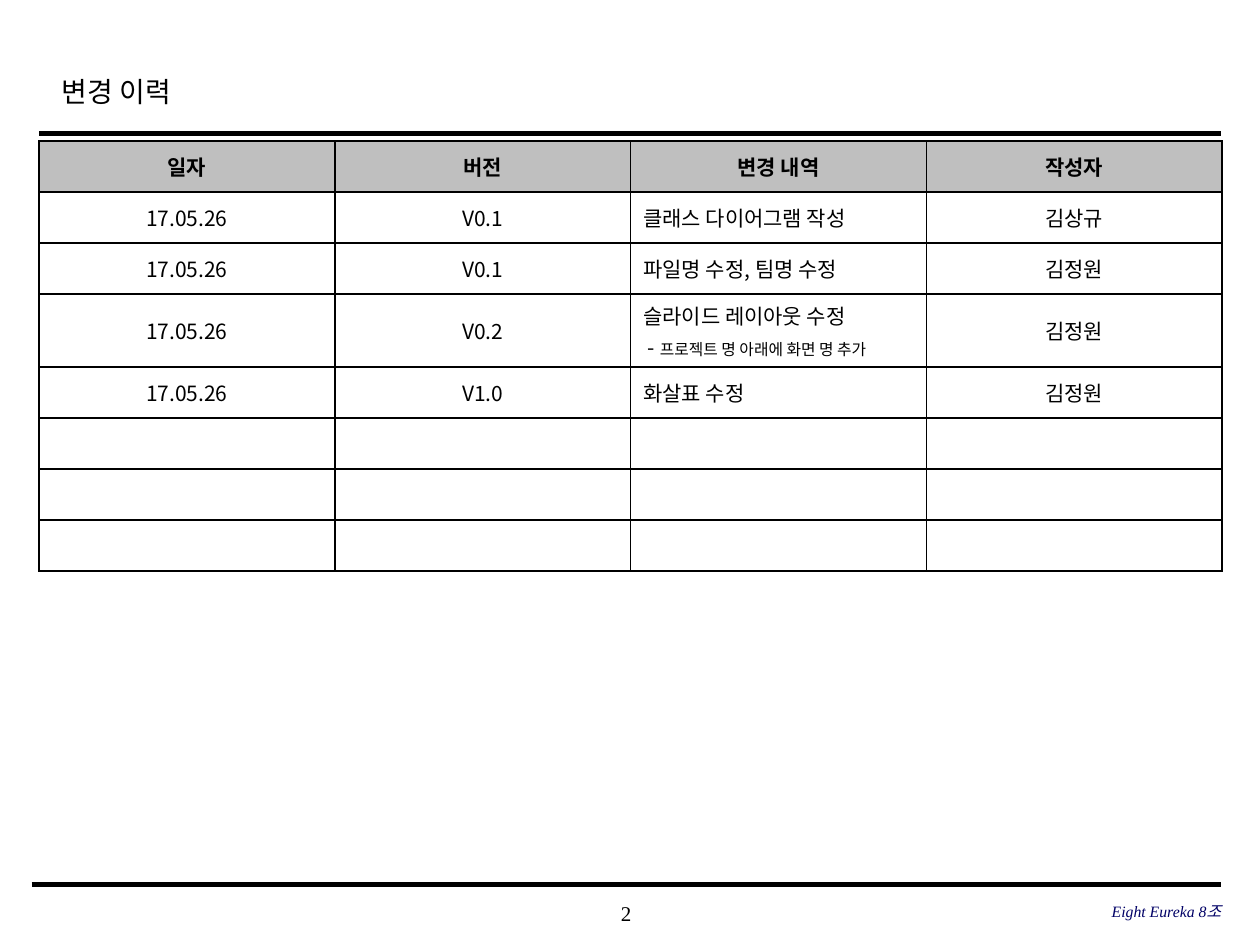
from dataclasses import dataclass

import pptx
import pptx.dml.color
import pptx.enum.shapes
import pptx.enum.text
import pptx.oxml
import pptx.oxml.ns
import pptx.util
from pptx.util import Inches

BLACK = pptx.dml.color.RGBColor(0x00, 0x00, 0x00)
WHITE = pptx.dml.color.RGBColor(0xFF, 0xFF, 0xFF)
GRAY = pptx.dml.color.RGBColor(0xBF, 0xBF, 0xBF)
NAVY = pptx.dml.color.RGBColor(0x00, 0x00, 0x66)
SERIF = "Times New Roman"
SANS = "Noto Sans CJK KR"
ALIGN = pptx.enum.text.PP_ALIGN
MIDDLE = pptx.enum.text.MSO_ANCHOR.MIDDLE
NS = pptx.oxml.ns.nsdecls("a")


@dataclass
class Rule:
    left: float
    top: float
    width: float


@dataclass
class Footer:
    text: str
    left: float
    top: float
    width: float
    align: int
    size: int
    color: pptx.dml.color.RGBColor
    italic: bool


@dataclass
class Change:
    date: str = ""
    version: str = ""
    details: str = ""
    author: str = ""
    note: str = ""

    def texts(self) -> list[str]:
        return [self.date, self.version, self.details, self.author]


RULES = [Rule(0.31, 1.06, 2.5), Rule(0.25, 7.02, 3)]
FOOTERS = [
    Footer("2", 3.93, 7.08, 2.08, ALIGN.CENTER, 12, BLACK, False),
    Footer("Eight Eureka 8조", 6.63, 7.07, 3.06, ALIGN.RIGHT, 9, NAVY, True),
]
HEADER = Change("일자", "버전", "변경 내역", "작성자")
CHANGES = [
    Change("17.05.26", "V0.1", "클래스 다이어그램 작성", "김상규"),
    Change("17.05.26", "V0.1", "파일명 수정, 팀명 수정", "김정원"),
    Change("17.05.26", "V0.2", "슬라이드 레이아웃 수정", "김정원", "프로젝트 명 아래에 화면 명 추가"),
    Change("17.05.26", "V1.0", "화살표 수정", "김정원"),
    Change(),
    Change(),
    Change(),
]


def add_run(p, text: str, font: str, size: float, color=BLACK, **formats) -> None:
    r = p.add_run()
    r.text = text
    values = {"name": font, "size": pptx.util.Pt(size), **formats}
    for name, value in values.items():
        setattr(r.font, name, value)
    r.font.color.rgb = color
    r.font._element.append(pptx.oxml.parse_xml(f'<a:ea {NS} typeface="{SANS}"/>'))


def add_title(s, text: str) -> None:
    sp = s.shapes.title
    box = {"left": 0.39, "top": 0.45, "width": 7.55, "height": 0.5}
    for name, value in box.items():
        setattr(sp, name, Inches(value))
    tf = sp.text_frame
    tf.vertical_anchor = MIDDLE
    p = tf.paragraphs[0]
    p.alignment = ALIGN.LEFT
    p.line_spacing = 1.2
    add_run(p, text, SERIF, 16)


def add_rule(s, rule: Rule) -> None:
    y = Inches(rule.top)
    line = s.shapes.add_connector(
        pptx.enum.shapes.MSO_CONNECTOR.STRAIGHT, Inches(rule.left), y, Inches(9.69), y
    )
    line.line.color.rgb = BLACK
    line.line.width = pptx.util.Pt(rule.width)
    line._element.spPr.append(pptx.oxml.parse_xml(f"<a:effectLst {NS}/>"))


def add_footer(s, footer: Footer) -> None:
    sp = s.shapes.add_textbox(
        Inches(footer.left), Inches(footer.top), Inches(footer.width), Inches(0.33)
    )
    tf = sp.text_frame
    formats = {"word_wrap": True, "vertical_anchor": MIDDLE}
    formats |= {f"margin_{side}": 0 for side in ("left", "right", "top", "bottom")}
    for name, value in formats.items():
        setattr(tf, name, value)
    p = tf.paragraphs[0]
    p.alignment = footer.align
    add_run(p, footer.text, SERIF, footer.size, footer.color, italic=footer.italic)


def add_borders(cell) -> None:
    tc_pr = cell._tc.get_or_add_tcPr()
    for i, side in enumerate(("lnL", "lnR", "lnT", "lnB")):
        tc_pr.insert(i, pptx.oxml.parse_xml(
            f'<a:{side} {NS} w="12700"><a:solidFill><a:srgbClr val="{BLACK}"/>'
            f"</a:solidFill></a:{side}>"
        ))


def fill_cell(cell, text: str, note: str, align: int, header: bool) -> None:
    cell.vertical_anchor = MIDDLE
    cell.fill.solid()
    cell.fill.fore_color.rgb = GRAY if header else WHITE
    add_borders(cell)
    p = cell.text_frame.paragraphs[0]
    p.alignment = align
    if text:
        add_run(p, text, SANS, 12, bold=header)
    else:
        p._p.append(pptx.oxml.parse_xml(f'<a:endParaRPr {NS} sz="1200"/>'))
    if note:
        p = cell.text_frame.add_paragraph()
        p.alignment = align
        add_run(p, " - ", SANS, 12, bold=False)
        add_run(p, note, SANS, 9, bold=False)


def add_history(s, changes: list[Change]) -> None:
    heights = [Inches(0.58 if change.note else 0.405) for change in changes]
    table = s.shapes.add_table(
        len(changes), 4, Inches(0.31), Inches(1.12), Inches(9.39), sum(heights)
    ).table
    for i, change in enumerate(changes):
        table.rows[i].height = heights[i]
        header = i == 0
        for j, text in enumerate(change.texts()):
            details = j == 2
            align = ALIGN.LEFT if details and not header else ALIGN.CENTER
            fill_cell(table.cell(i, j), text, change.note if details else "", align, header)


prs = pptx.Presentation()
prs.slide_width, prs.slide_height = Inches(10), Inches(7.5)
s = prs.slides.add_slide(prs.slide_layouts[5])
add_title(s, "변경 이력")
for rule in RULES:
    add_rule(s, rule)
for footer in FOOTERS:
    add_footer(s, footer)
add_history(s, [HEADER, *CHANGES])
prs.save("out.pptx")
